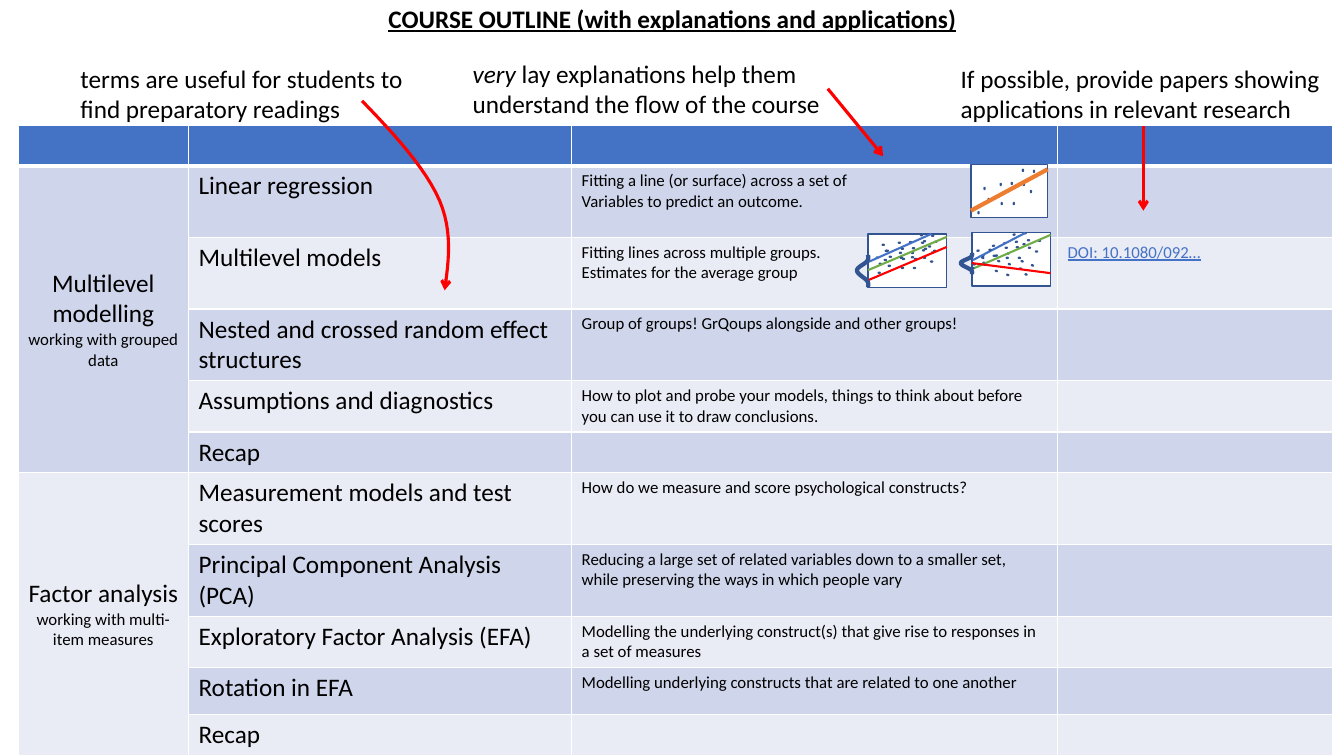
from math import cos, radians, sin

from lxml.etree import SubElement
from pptx import Presentation
from pptx.dml.color import RGBColor
from pptx.enum.shapes import MSO_CONNECTOR, MSO_SHAPE
from pptx.enum.text import MSO_ANCHOR, MSO_AUTO_SIZE, PP_ALIGN
from pptx.oxml.ns import qn
from pptx.util import Inches, Pt

FONT = "Calibri"
COLORS = {
    "black": "000000", "white": "FFFFFF", "red": "FF0000", "blue": "4472C4",
    "dark": "CFD5EA", "light": "E9EBF5", "navy": "325491", "green": "70AD47",
    "pale green": "A9D18E", "orange": "ED7D31",
}

TITLE = "COURSE OUTLINE (with explanations and applications)"
# left, top, width, runs as (text, italic)
NOTES = [
    (0.7, 0.58, 3.83, [("terms are useful for students to find preparatory readings", False)]),
    (4.59, 0.53, 4.47, [("very", True),
                        (" lay explanations help them understand the flow of the course", False)]),
    (9.43, 0.58, 4.47, [("If possible, provide papers showing applications in relevant research", False)]),
]

# block heading, subheading, colour, rows of (height, topic, explanation, paper)
BLOCKS = [
    ("Multilevel modelling", "working with grouped data", "dark", [
        (0.71, "Linear regression",
         "Fitting a line (or surface) across a set of\nVariables to predict an outcome.", ""),
        (0.71, "Multilevel models",
         "Fitting lines across multiple groups.\nEstimates for the average group", "DOI: 10.1080/092…"),
        (0.71, "Nested and crossed random effect structures",
         "Group of groups! GrQoups alongside and other groups!", ""),
        (0.51, "Assumptions and diagnostics",
         "How to plot and probe your models, things to think about before "
         "you can use it to draw conclusions.", ""),
        (0.4, "Recap", "", ""),
    ]),
    ("Factor analysis", "working with multi-item measures", "light", [
        (0.71, "Measurement models and test scores",
         "How do we measure and score psychological constructs?", ""),
        (0.71, "Principal Component Analysis (PCA)",
         "Reducing a large set of related variables down to a smaller set, while "
         "preserving the ways in which people vary", ""),
        (0.51, "Exploratory Factor Analysis (EFA)",
         "Modelling the underlying construct(s) that give rise to responses in a set of measures", ""),
        (0.47, "Rotation in EFA",
         "Modelling underlying constructs that are related to one another", ""),
        (0.4, "Recap", "", ""),
    ]),
]
COL_WIDTHS = [1.69, 3.8, 4.82, 2.73]
HEADER_HEIGHT = 0.4

STRAIGHT_ARROWS = [((8.21, 0.88), (8.76, 1.55)), ((11.34, 1.25), (11.34, 2.09))]
CURVED_ARROW = [(3.59, 1), (3.91, 1.33), (4.22, 1.67), (4.36, 1.99),
                (4.49, 2.3), (4.45, 2.59), (4.41, 2.88)]

# Scatter dots around their centre, and a bell outline for a height of 1
DOTS = [(0.17, -0.07), (0.16, -0.21), (-0.06, -0.07), (0.07, 0.12), (-0.18, 0.08), (-0.22, -0.03),
        (0.27, -0.2), (0.24, 0), (-0.05, 0.12), (0.05, -0.08), (-0.28, 0.21)]
BELL = [(0, 0), (0, 0.06), (0.01, 0.1), (-0.01, 0.19), (-0.03, 0.28), (-0.11, 0.37), (-0.11, 0.48),
        (-0.11, 0.59), (-0.03, 0.71), (-0.01, 0.8), (0.01, 0.88), (0, 0.94), (0, 1)]
# frame, bell (right, top, height), dot size, vertical scale,
# groups of (dot colour, centre, turn, line colour, line width, from, to)
PLOTS = [
    ((8.61, 2.32, 0.78, 0.53), (8.61, 2.53, 0.32), (0.02, 0.01), 0.53, [
        ("blue", (8.97, 2.44), 0, "blue", 1.5, (8.61, 2.6), (9.24, 2.32)),
        ("pale green", (9, 2.5), 0, "green", 1.5, (8.61, 2.68), (9.39, 2.35)),
        ("red", (8.99, 2.59), 0, "red", 1.5, (8.61, 2.78), (9.39, 2.45)),
    ]),
    ((9.64, 2.31, 0.78, 0.53), (9.64, 2.51, 0.21), (0.02, 0.01), 0.53, [
        ("blue", (9.91, 2.46), -9.9, "blue", 1.5, (9.65, 2.58), (10.17, 2.31)),
        ("pale green", (10.03, 2.49), 0, "green", 1.5, (9.64, 2.67), (10.42, 2.33)),
        ("red", (9.94, 2.64), 19.1, "red", 1.5, (9.64, 2.61), (10.42, 2.71)),
    ]),
    ((9.63, 1.63, 0.76, 0.53), None, (0.01, 0.02), 1, [
        ("blue", (9.98, 1.89), 0, "orange", 3, (9.63, 2.09), (10.39, 1.68)),
    ]),
]


def rgb(name):
    return RGBColor.from_string(COLORS[name])


def set_line(sp, color, width, arrow=False):
    sp.line.color.rgb = rgb(color)
    sp.line.width = Pt(width)
    if arrow:
        SubElement(sp.line._get_or_add_ln(), qn("a:tailEnd"), type="arrow")


def set_font(p, size, color="black"):
    p.font.name, p.font.size, p.font.color.rgb = FONT, Pt(size), rgb(color)


def add_line(shapes, start, end, color, width, arrow=False):
    s = shapes.add_connector(MSO_CONNECTOR.STRAIGHT, *map(Inches, start + end))
    set_line(s, color, width, arrow)
    SubElement(s._element.spPr, qn("a:effectLst"))


def add_curve(shapes, points, color, width, arrow=False, steps=12):
    """Draw a chain of cubic Bézier curves as a fine open polyline."""
    line = []
    for i in range(0, len(points) - 1, 3):
        for n in range(1, steps + 1):
            t = n / steps
            weights = ((1 - t) ** 3, 3 * t * (1 - t) ** 2, 3 * t * t * (1 - t), t ** 3)
            line.append(tuple(Inches(sum(w * p[axis] for w, p in zip(weights, points[i:i + 4])))
                              for axis in (0, 1)))
    builder = shapes.build_freeform(*map(Inches, points[0]))
    builder.add_line_segments(line, close=False)
    s = builder.convert_to_shape()
    s.shadow.inherit = False
    s.fill.background()
    set_line(s, color, width, arrow)


def add_box(shapes, kind, box, fill, turn=0):
    s = shapes.add_shape(kind, *map(Inches, box))
    s.shadow.inherit = False
    s.fill.solid()
    s.fill.fore_color.rgb = rgb(fill)
    s.rotation = turn
    set_line(s, "navy", 1)


def add_plot(slide, frame, bell, dot_size, scale, groups):
    shapes = slide.shapes.add_group_shape().shapes
    add_box(shapes, MSO_SHAPE.RECTANGLE, frame, "white")
    for dot_color, (cx, cy), turn, color, width, start, end in groups:
        c, s = cos(radians(turn)), sin(radians(turn))
        for dx, dy in DOTS:
            dy *= scale
            spot = (cx + dx * c - dy * s, cy + dx * s + dy * c)
            add_box(shapes, MSO_SHAPE.OVAL, spot + dot_size, dot_color, turn)
        add_line(shapes, start, end, color, width)
    if bell:
        right, top, height = bell
        add_curve(shapes, [(right + x, top + y * height) for x, y in BELL], "navy", 3)


def style_cell(cell, fill, bottom=1):
    """Give the cell white borders first, then its fill, as the schema orders them."""
    tc_pr = cell._tc.get_or_add_tcPr()
    for side in "LRTB":
        ln = SubElement(tc_pr, qn("a:ln" + side), w=str(Pt(bottom if side == "B" else 1)))
        SubElement(SubElement(ln, qn("a:solidFill")), qn("a:srgbClr"), val=COLORS["white"])
    cell.fill.solid()
    cell.fill.fore_color.rgb = rgb(fill)


def fill_cell(cell, text, size, color="black"):
    cell.text = text
    for p in cell.text_frame.paragraphs:
        set_font(p, size, color)


def add_outline(slide):
    rows = [row for block in BLOCKS for row in block[3]]
    heights = [HEADER_HEIGHT] + [row[0] for row in rows]
    table = slide.shapes.add_table(len(heights), len(COL_WIDTHS), Inches(0.18), Inches(1.24),
                                   Inches(sum(COL_WIDTHS)), Inches(sum(heights))).table
    for col, width in zip(table.columns, COL_WIDTHS):
        col.width = Inches(width)
    for row, height in zip(table.rows, heights):
        row.height = Inches(height)
    for cell in table.rows[0].cells:
        style_cell(cell, "blue", bottom=3)
    for i, (_, topic, explanation, paper) in enumerate(rows, 1):
        for cell in table.rows[i].cells:
            style_cell(cell, "dark" if i % 2 else "light")
        fill_cell(table.cell(i, 1), topic, 18)
        if explanation:
            fill_cell(table.cell(i, 2), explanation, 12)
        if paper:
            fill_cell(table.cell(i, 3), paper, 12, "blue")
            table.cell(i, 3).text_frame.paragraphs[0].font.underline = True
    first = 1
    for heading, subheading, color, block_rows in BLOCKS:
        cell = table.cell(first, 0)
        cell.merge(table.cell(first + len(block_rows) - 1, 0))
        cell.fill.fore_color.rgb = rgb(color)
        cell.vertical_anchor = MSO_ANCHOR.MIDDLE
        fill_cell(cell, heading, 18)
        p = cell.text_frame.paragraphs[0]
        p.alignment = PP_ALIGN.CENTER
        p.add_line_break()
        r = p.add_run()
        r.text, r.font.size = subheading, Pt(12)
        first += len(block_rows)


def main():
    prs = Presentation()
    prs.slide_width, prs.slide_height = Inches(13.33), Inches(7.5)
    slide = prs.slides.add_slide(prs.slide_layouts[5])
    title = slide.shapes.title
    title.left, title.top, title.width, title.height = map(Inches, (3.73, -0.02, 5.88, 0.4))
    tf = title.text_frame
    tf.text = TITLE
    tf.word_wrap, tf.auto_size, tf.vertical_anchor = False, MSO_AUTO_SIZE.NONE, MSO_ANCHOR.TOP
    p = tf.paragraphs[0]
    set_font(p, 18)
    p.font.bold = p.font.underline = True

    add_outline(slide)
    add_curve(slide.shapes, CURVED_ARROW, "red", 2.25, arrow=True)
    for plot in PLOTS:
        add_plot(slide, *plot)
    for left, top, width, runs in NOTES:
        tf = slide.shapes.add_textbox(*map(Inches, (left, top, width, 0.71))).text_frame
        tf.word_wrap = True
        p = tf.paragraphs[0]
        set_font(p, 18)
        for text, italic in runs:
            r = p.add_run()
            r.text, r.font.italic = text, italic
    for start, end in STRAIGHT_ARROWS:
        add_line(slide.shapes, start, end, "red", 2.25, arrow=True)
    prs.save("out.pptx")


if __name__ == "__main__":
    main()
